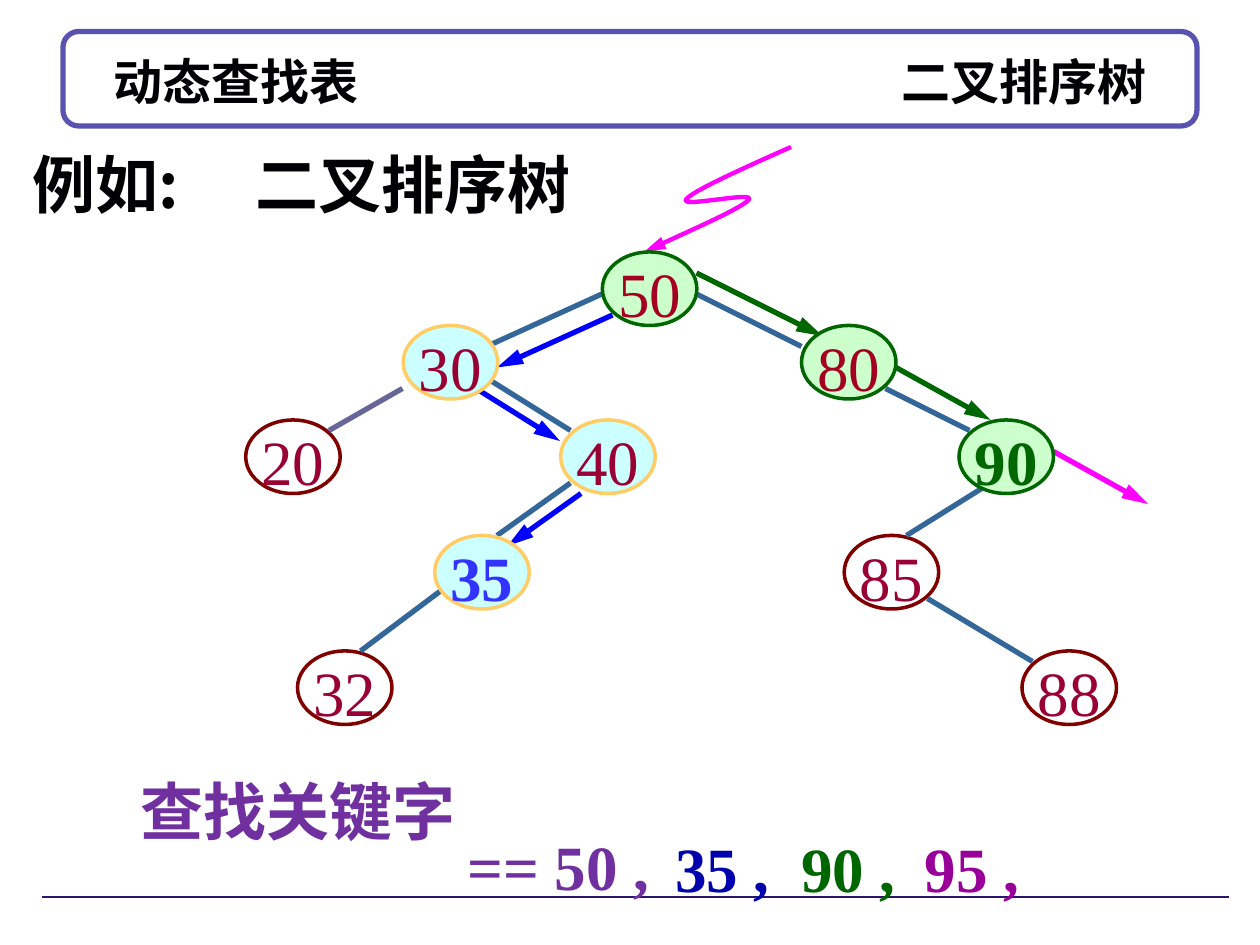
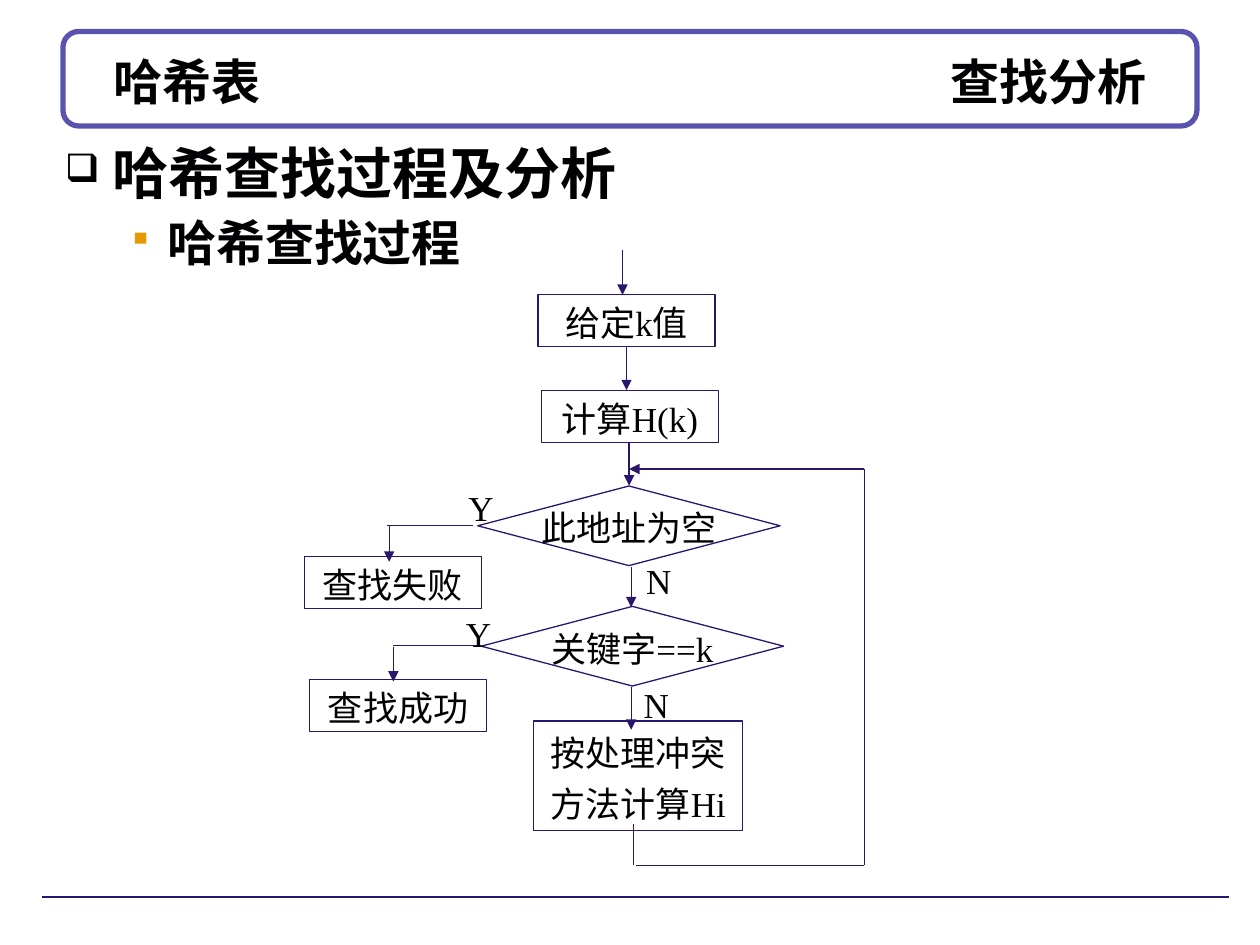
"""Build two slides on searching: a binary sort tree and a hash lookup flowchart."""
from lxml import etree
from pptx import Presentation
from pptx.dml.color import RGBColor
from pptx.enum.shapes import MSO_CONNECTOR, MSO_SHAPE
from pptx.enum.text import MSO_ANCHOR, MSO_AUTO_SIZE, PP_ALIGN
from pptx.oxml.ns import qn
from pptx.util import Pt

STRAIGHT = MSO_CONNECTOR.STRAIGHT
ELLIPSE = MSO_SHAPE.OVAL
BAND = MSO_SHAPE.ROUNDED_RECTANGLE
PROCESS = MSO_SHAPE.FLOWCHART_PROCESS
DECISION = MSO_SHAPE.FLOWCHART_DECISION
MIDDLE, TOP = MSO_ANCHOR.MIDDLE, MSO_ANCHOR.TOP
LEFT, CENTER = PP_ALIGN.LEFT, PP_ALIGN.CENTER
FIT_SHAPE, FIXED = MSO_AUTO_SIZE.SHAPE_TO_FIT_TEXT, MSO_AUTO_SIZE.NONE

WHITE = RGBColor(0xFF, 0xFF, 0xFF)
INK = RGBColor(0x01, 0x01, 0x03)
BAND_BLUE = RGBColor(0x59, 0x52, 0xAE)
NAVY = RGBColor(0x2B, 0x16, 0x6E)
ORANGE = RGBColor(0xE6, 0x99, 0x00)
MAROON = RGBColor(0x80, 0x00, 0x00)
CRIMSON = RGBColor(0x99, 0x00, 0x33)
RED = RGBColor(0xA5, 0x00, 0x21)
EDGE_BLUE = RGBColor(0x33, 0x66, 0x99)
EDGE_GREY = RGBColor(0x66, 0x66, 0x99)
BLUE = RGBColor(0x00, 0x00, 0xFF)
BRIGHT_BLUE = RGBColor(0x33, 0x33, 0xFF)
DARK_BLUE = RGBColor(0x00, 0x00, 0xAC)
GREEN = RGBColor(0x00, 0x66, 0x00)
MAGENTA = RGBColor(0xFF, 0x00, 0xFF)
PURPLE = RGBColor(0x70, 0x30, 0xA0)
PLUM = RGBColor(0x99, 0x00, 0x99)
PALE_BLUE = RGBColor(0xCC, 0xFF, 0xFF)
PALE_GREEN = RGBColor(0xCC, 0xFF, 0xCC)
GOLD = RGBColor(0xFF, 0xCC, 0x66)

LATIN_FONT, CHINESE_FONT = "Times New Roman", "Noto Sans CJK SC"
NODE_WIDTH, NODE_HEIGHT = 54, 42
ROWS = (144, 186, 240, 306, 372)
CURVE_STEPS = 12


def add_element(parent, tag, **attributes):
    """Append a DrawingML child element."""
    return etree.SubElement(parent, qn(tag), attributes)


def add_span(para, text, size, color, bold=False, font_name=LATIN_FONT):
    """Append one formatted run."""
    span = para.add_run()
    span.text = text
    font = span.font
    font.name, font.size, font.bold = font_name, Pt(size), bold
    font.color.rgb = color
    add_element(span._r.get_or_add_rPr(), "a:ea", typeface=CHINESE_FONT)


def set_frame(box, anchor=TOP, wrap=False, fit=FIXED):
    """Set the text margins, anchor and wrapping."""
    frame = box.text_frame
    frame.auto_size, frame.word_wrap, frame.vertical_anchor = fit, wrap, anchor
    frame.margin_left = frame.margin_right = Pt(7.2)
    frame.margin_top = frame.margin_bottom = Pt(3.6)
    return frame


def write_lines(frame, lines, size, color, bold=False, align=LEFT, font_name=LATIN_FONT):
    """Write each line as a paragraph."""
    for index, line in enumerate(lines):
        para = frame.add_paragraph() if index else frame.paragraphs[0]
        para.alignment, para.line_spacing = align, 1.1
        if index:
            para.space_before = Pt(size / 8)
        add_span(para, line, size, color, bold, font_name)


def add_label(page, text, left, top, width, height, size, color, bold=True, font_name=LATIN_FONT):
    """Add a one-line text box."""
    box = page.shapes.add_textbox(Pt(left), Pt(top), Pt(width), Pt(height))
    frame = set_frame(box, fit=FIT_SHAPE)
    write_lines(frame, [text], size, color, bold, font_name=font_name)


def style_shape(shape, line_color, weight, fill=None):
    """Set outline and fill and drop the shadow."""
    shape.shadow.inherit = False
    shape.line.color.rgb, shape.line.width = line_color, Pt(weight)
    if fill is None:
        shape.fill.background()
    else:
        shape.fill.solid()
        shape.fill.fore_color.rgb = fill


def add_outline(page, kind, left, top, width, height, line_color, weight, fill=None):
    """Add a preset shape."""
    shape = page.shapes.add_shape(kind, Pt(left), Pt(top), Pt(width), Pt(height))
    style_shape(shape, line_color, weight, fill)
    return shape


def add_arrowhead(shape, weight):
    """Put a triangle at the end of a line, longer on a heavy line."""
    length = "lg" if weight > 1 else "med"
    add_element(shape.line._get_or_add_ln(), "a:tailEnd", type="triangle", w="med", len=length)


def add_line(page, ends, color, weight, arrow=False):
    """Draw a straight line, given as x1, y1, x2, y2."""
    line = page.shapes.add_connector(STRAIGHT, *map(Pt, ends))
    line.line.color.rgb, line.line.width = color, Pt(weight)
    if arrow:
        add_arrowhead(line, weight)
    add_element(line._element.spPr, "a:effectLst")


def add_curve_arrow(page, start, curves, color, weight):
    """Draw an arrow along a chain of cubic curves."""
    builder = page.shapes.build_freeform(*map(Pt, start))
    points = []
    for controls in curves:
        knots = (start, *controls)
        for step in range(1, CURVE_STEPS + 1):
            t = step / CURVE_STEPS
            weights = ((1 - t) ** 3, 3 * t * (1 - t) ** 2, 3 * t * t * (1 - t), t ** 3)
            points.append(tuple(Pt(sum(w * knot[axis] for w, knot in zip(weights, knots)))
                                for axis in (0, 1)))
        start = controls[-1]
    builder.add_line_segments(points, close=False)
    curve = builder.convert_to_shape()
    style_shape(curve, color, weight)
    add_arrowhead(curve, weight)


def add_page(deck, topic, subject):
    """Add a slide with the title band and the footer rule."""
    page = deck.slides.add_slide(deck.slide_layouts[5])
    band = add_outline(page, BAND, 36, 18, 648, 54, BAND_BLUE, 3, WHITE)
    page.shapes._spTree.insert(2, band._element)
    add_line(page, (24, 512.6, 702, 512.6), NAVY, 0.75)
    title = page.shapes.title
    title.left, title.top, title.width, title.height = map(Pt, (36, 24, 648, 45))
    frame = set_frame(title, MIDDLE, wrap=True)
    frame.margin_left, frame.margin_right = Pt(29), 0
    para = frame.paragraphs[0]
    tabs = add_element(para._p.get_or_add_pPr(), "a:tabLst")
    add_element(tabs, "a:tab", pos=str(Pt(590)), algn="r")
    para.alignment = LEFT
    add_span(para, f"{topic}\t{subject}", 28, INK, True)
    return page


def add_node(page, key, left, row, line_color, fill=None, color=CRIMSON, bold=False):
    """Add a tree node holding a key."""
    node = add_outline(page, ELLIPSE, left, ROWS[row], NODE_WIDTH, NODE_HEIGHT,
                       line_color, 2, fill)
    write_lines(set_frame(node, MIDDLE), [key], 36, color, bold, CENTER)


def add_step(page, kind, lines, left, top, width, height):
    """Add a flowchart step."""
    step = add_outline(page, kind, left, top, width, height, NAVY, 0.75)
    write_lines(set_frame(step, MIDDLE), lines, 20, INK, align=CENTER)


def add_bullets(page, items):
    """Add the bulleted outline above the flowchart."""
    box = page.shapes.add_textbox(Pt(30), Pt(80), Pt(670), Pt(76))
    frame = set_frame(box, wrap=True)
    for level, (text, size, mark, mark_color, margin, hang) in enumerate(items):
        para = frame.add_paragraph() if level else frame.paragraphs[0]
        properties = para._p.get_or_add_pPr()
        properties.set("marL", str(Pt(margin)))
        properties.set("indent", str(Pt(-hang)))
        add_element(add_element(properties, "a:buClr"), "a:srgbClr", val=str(mark_color))
        add_element(properties, "a:buSzPct", val="70000")
        add_element(properties, "a:buChar", char=mark)
        para.level, para.line_spacing = level, 0.9
        if level:
            para.space_before = Pt(7)
        add_span(para, text, size, INK, True)


def build_tree(deck):
    """Build the binary sort tree slide."""
    page = add_page(deck, "动态查找表", "二叉排序树")
    for key, left, row in (("20", 140.4, 2), ("85", 482.4, 3), ("88", 584, 4), ("32", 170, 4)):
        add_node(page, key, left, row, MAROON)
    for ends in ((344, 168, 278, 198), (398, 168, 458, 198), (278, 216, 326, 246),
                 (326, 276, 284, 306), (506, 222, 554, 246), (566, 276, 518, 306),
                 (530, 342, 590, 378), (254, 336, 206, 372)):
        add_line(page, ends, EDGE_BLUE, 3)
    add_line(page, (230, 222, 188, 246), EDGE_GREY, 3)

    add_label(page, "例如:", 11.5, 75.6, 116.6, 54.7, 36, INK, font_name=CHINESE_FONT)
    add_label(page, "二叉排序树", 139, 75.6, 213.8, 54.7, 36, INK)
    add_label(page, "查找关键字", 73.4, 433.4, 216, 54.7, 36, PURPLE)
    add_label(page, "== 50 ,", 260, 465, 135, 54.7, 36, PURPLE)
    for key, left, color in (("35 ,", 378.7, DARK_BLUE), ("90 ,", 450.7, GREEN),
                             ("95 ,", 521.3, PLUM)):
        add_label(page, key, left, 466, 72, 54.7, 36, color)

    add_curve_arrow(page, (452, 84), (
        ((424, 96.5), (396, 109), (392, 114)),
        ((388, 119), (432, 109), (428, 114)),
        ((424, 119), (396, 131), (368, 144))), MAGENTA, 2.5)
    for color, ends in ((BLUE, (350, 180, 284, 210)), (BLUE, (272, 222, 320, 252)),
                        (BLUE, (332, 282, 290, 312)), (GREEN, (398, 156, 470, 192)),
                        (GREEN, (512, 210, 566, 240)), (MAGENTA, (602, 258, 656, 288))):
        add_line(page, ends, color, 3, arrow=True)

    add_node(page, "30", 230.4, 1, GOLD, PALE_BLUE)
    add_node(page, "40", 320.4, 2, GOLD, PALE_BLUE)
    add_node(page, "35", 248.4, 3, GOLD, PALE_BLUE, BRIGHT_BLUE, True)
    add_node(page, "50", 344.2, 0, GREEN, PALE_GREEN, RED)
    add_node(page, "80", 458, 1, GREEN, PALE_GREEN, RED)
    add_node(page, "90", 548, 2, GREEN, PALE_GREEN, GREEN, True)


def build_flowchart(deck):
    """Build the hash lookup slide."""
    page = add_page(deck, "哈希表", "查找分析")
    add_bullets(page, (("哈希查找过程及分析", 32, "❑", INK, 27, 27),
                       ("哈希查找过程", 28, "▪", ORANGE, 58.5, 22.5)))
    for text, left, top in (("给定k值", 307.5, 168.5), ("计算H(k)", 309.5, 223),
                            ("查找失败", 174, 318), ("查找成功", 177, 388.3)):
        add_step(page, PROCESS, [text], left, top, 101, 29.7)
    for text, left, top in (("此地址为空", 273, 277.7), ("关键字==k", 275, 346.5)):
        add_step(page, DECISION, [text], left, top, 172.8, 45.5)
    add_step(page, PROCESS, ["按处理冲突", "方法计算Hi"], 305, 412, 119.5, 62.6)

    for x, start, end in ((355.7, 142.6, 168.5), (358, 198.5, 223), (359.5, 253, 277.5),
                          (360.7, 324, 347), (360.7, 392.5, 417), (222.4, 300.3, 321),
                          (224.8, 370, 389.5)):
        add_line(page, (x, start, x, end), NAVY, 0.75, arrow=True)
    for ends in ((270, 300.3, 221.3, 300.3), (275, 369, 224.8, 369), (362, 471, 362, 494.5),
                 (363.6, 494.5, 494, 494.5), (494, 494.5, 494, 268)):
        add_line(page, ends, NAVY, 0.75)
    add_line(page, (494, 268, 359.5, 268), NAVY, 0.75, arrow=True)

    for answer, left, top in (("Y", 260.6, 272.2), ("N", 362.2, 313.6),
                              ("Y", 259.2, 344.2), ("N", 360.7, 384.5)):
        add_label(page, answer, left, top, 28.8, 33.8, 20, INK, bold=False)


def main():
    """Build and save the deck."""
    deck = Presentation()
    deck.slide_width, deck.slide_height = Pt(720), Pt(540)
    build_tree(deck)
    build_flowchart(deck)
    deck.save("out.pptx")


if __name__ == "__main__":
    main()
